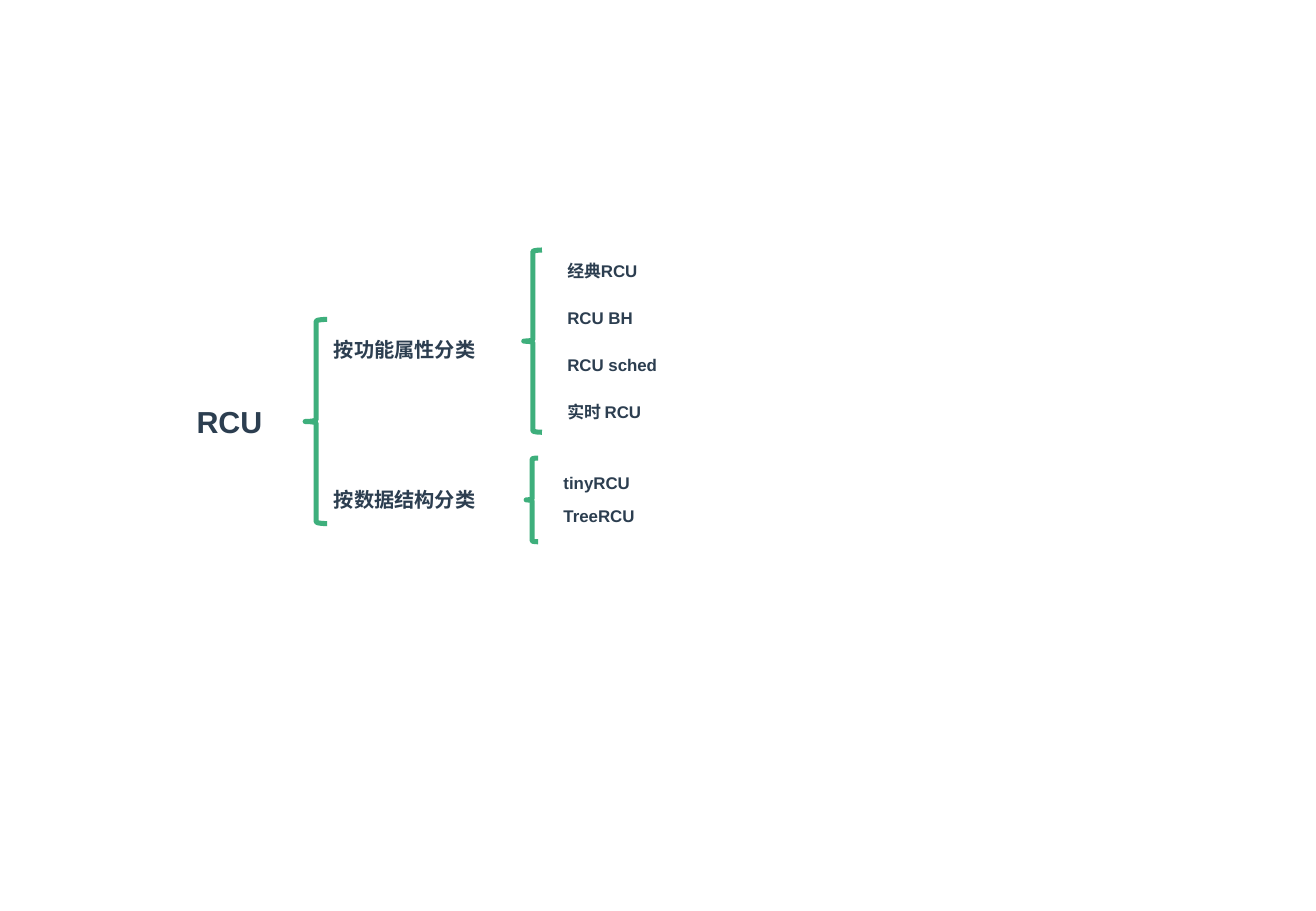
from pptx import Presentation
from pptx.dml.color import RGBColor
from pptx.enum.shapes import MSO_SHAPE as Shape
from pptx.enum.text import MSO_AUTO_SIZE as AutoSize
from pptx.util import Cm, Pt

NAVY = RGBColor(0x2C, 0x3E, 0x50)
GREEN = RGBColor(0x3E, 0xAF, 0x7C)

BRANCHES = [("按功能属性分类", 6.93), ("按数据结构分类", 10.06)]
FUNCTION_KINDS = [("经典RCU", 2.0), ("RCU BH", 2.01), ("RCU sched", 2.62), ("实时 RCU", 2.16)]
STRUCTURE_KINDS = [("tinyRCU", 2.08), ("TreeRCU", 2.21)]
BRACES = [
    (6.38, 6.68, 0.46, 4.27),
    (10.95, 5.23, 0.38, 3.81),
    (11.0, 9.58, 0.25, 1.75),
]


def add_label(slide, text, left, top, width, height, size, wrap=False):
    """Add a bold left-aligned label."""
    label = slide.shapes.add_textbox(Cm(left), Cm(top), Cm(width), Cm(height))
    frame = label.text_frame
    frame.word_wrap = wrap
    frame.auto_size = AutoSize.NONE if wrap else AutoSize.SHAPE_TO_FIT_TEXT
    run = frame.paragraphs[0].add_run()
    run.text = text
    for name, value in {"name": "Arial", "size": Pt(size), "bold": True}.items():
        setattr(run.font, name, value)
    run.font.color.rgb = NAVY


def add_brace(slide, left, top, width, height):
    """Add an unfilled green left brace."""
    brace = slide.shapes.add_shape(Shape.LEFT_BRACE, Cm(left), Cm(top), Cm(width), Cm(height))
    brace.shadow.inherit = False
    brace.fill.background()
    brace.line.color.rgb = GREEN
    brace.line.width = Pt(3)


def add_kinds(slide, kinds, left, top, pitch):
    """Add an evenly spaced column of RCU kinds, wrapping the classic one."""
    for index, (text, width) in enumerate(kinds):
        wrap = text.startswith("经典")
        add_label(slide, text, left, top + index * pitch, width, 0.69, 10, wrap)


def main():
    """Build the RCU classification slide."""
    presentation = Presentation()
    presentation.slide_width = Cm(27.51)
    presentation.slide_height = Cm(19.05)
    slide = presentation.slides.add_slide(presentation.slide_layouts[6])
    add_label(slide, "RCU", 3.86, 8.31, 1.98, 1.02, 18)
    for text, top in BRANCHES:
        add_label(slide, text, 6.73, top, 3.48, 0.76, 12)
    add_kinds(slide, FUNCTION_KINDS, 11.61, 5.33, 0.98)
    add_kinds(slide, STRUCTURE_KINDS, 11.53, 9.75, 0.69)
    for box in BRACES:
        add_brace(slide, *box)
    presentation.save("out.pptx")


main()
